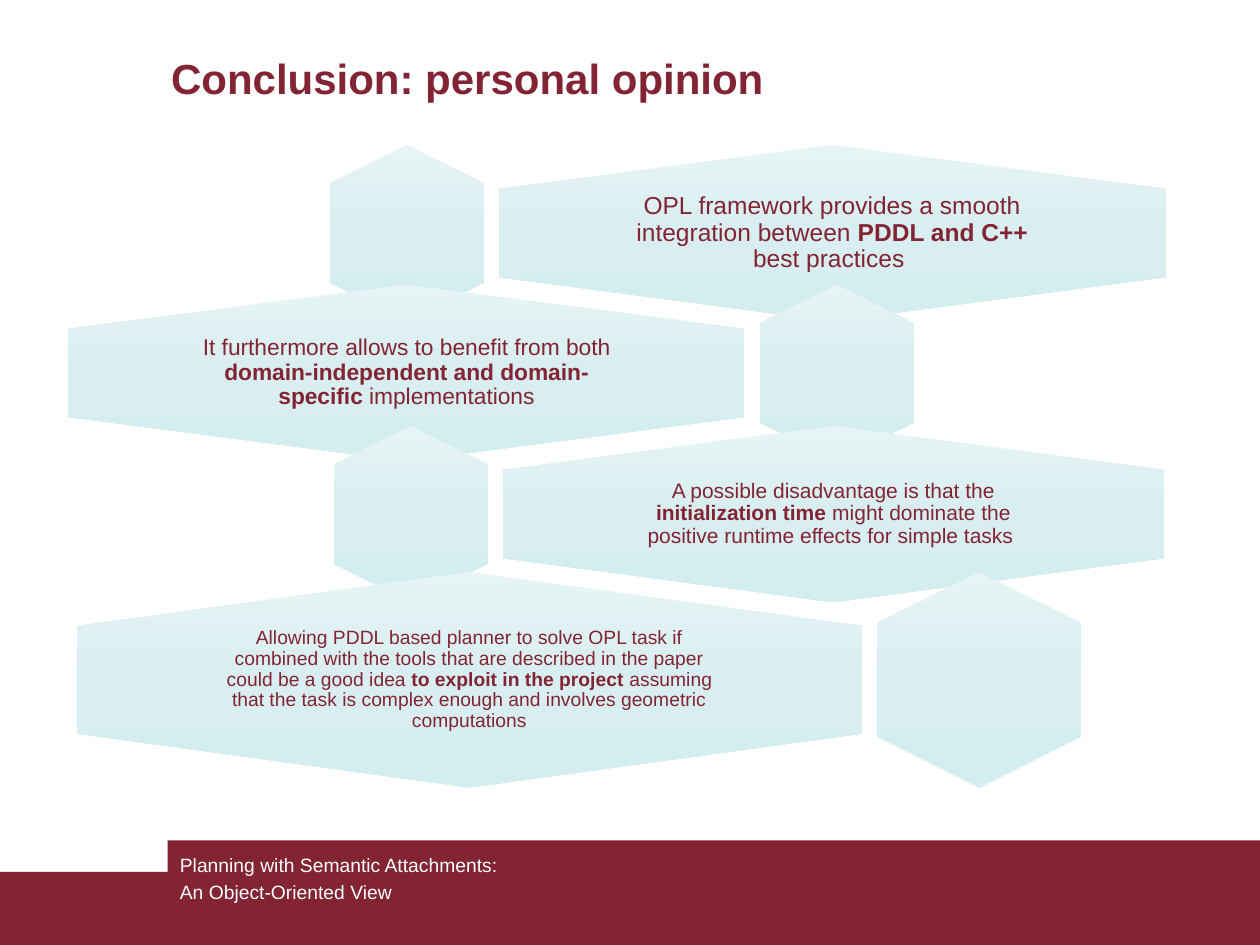
from pptx import Presentation
from pptx import util as u
from pptx.dml.color import RGBColor
from pptx.enum import shapes, text
from pptx.oxml import parse_xml
from pptx.oxml.ns import nsdecls

COLORS = {
    "wine": "822433",
    "white": "FFFFFF",
    "mist": "E6F4F5",
    "ice": "D9EEF0",
    "aqua": "D4EDEF",
}
FONT = "Arial"
HEXAGON_GAP = 0.12
TEXT_SHARE = 2 / 3

OPINIONS = [
    {
        "box": (3.96, 1.15, 5.29, 1.4), "side": "left", "accent_width": 1.22,
        "size": 14, "inset": 0.06,
        "runs": ["OPL framework provides a smooth integration between ",
                 "PDDL and C++ ", "best practices "],
    },
    {
        "box": (0.54, 2.26, 5.37, 1.4), "side": "right", "accent_width": 1.22,
        "size": 13, "inset": 0.05,
        "runs": ["It furthermore allows to benefit from both ",
                 "domain-independent and domain-specific", " implementations"],
    },
    {
        "box": (3.99, 3.38, 5.25, 1.4), "side": "left", "accent_width": 1.22,
        "size": 12, "inset": 0.05,
        "runs": ["A possible disadvantage is that the ", "initialization time ",
                 "might dominate the positive runtime effects for simple tasks "],
    },
    {
        "box": (0.61, 4.54, 6.23, 1.71), "side": "right", "accent_width": 1.62,
        "size": 11, "inset": 0.05,
        "runs": ["Allowing PDDL based planner to solve OPL task if combined with "
                 "the tools that are described in the paper could be a good idea ",
                 "to exploit in the project ",
                 "assuming that the task is complex enough and involves "
                 "geometric computations"],
    },
]


def style(run, size, color, bold=False):
    run.font.name = FONT
    run.font.size = u.Pt(size)
    run.font.bold = bold
    run.font.color.rgb = RGBColor.from_string(COLORS[color])


def add_text_frame(slide, box):
    frame = slide.shapes.add_textbox(*map(u.Inches, box)).text_frame
    frame.word_wrap = True
    return frame


def add_band(slide, box):
    band = slide.shapes.add_shape(shapes.MSO_SHAPE.RECTANGLE, *map(u.Inches, box))
    band.shadow.inherit = False
    band.fill.solid()
    band.fill.fore_color.rgb = RGBColor.from_string(COLORS["wine"])
    band.line.fill.background()


def fill_vertical_gradient(hexagon):
    stops = "".join(
        f'<a:gs pos="{position}"><a:srgbClr val="{COLORS[name]}"/></a:gs>'
        for position, name in ((0, "mist"), (50000, "ice"), (100000, "aqua"))
    )
    gradient = parse_xml(
        f'<a:gradFill {nsdecls("a")} rotWithShape="0"><a:gsLst>{stops}</a:gsLst>'
        '<a:lin ang="5400000" scaled="0"/></a:gradFill>'
    )
    hexagon.fill.gradient()
    properties = hexagon._element.spPr
    properties.replace(properties.find("{*}gradFill"), gradient)


def add_upright_hexagon(slide, box):
    left, top, width, height = box
    shift = (width - height) / 2
    hexagon = slide.shapes.add_shape(
        shapes.MSO_SHAPE.HEXAGON,
        *map(u.Inches, (left + shift, top - shift, height, width)),
    )
    hexagon.rotation = 90
    hexagon.adjustments[0] = 0.25
    hexagon.adjustments[1] = 1.1547
    hexagon.shadow.inherit = False
    hexagon.line.fill.background()
    fill_vertical_gradient(hexagon)


def add_opinion(slide, box, side, accent_width, size, inset, runs):
    left, top, width, height = box
    add_upright_hexagon(slide, box)

    margin = (1 - TEXT_SHARE) / 2
    frame = add_text_frame(slide, (left + width * margin, top + height * margin,
                                   width * TEXT_SHARE, height * TEXT_SHARE))
    frame.vertical_anchor = text.MSO_ANCHOR.MIDDLE
    frame.margin_left = frame.margin_right = u.Inches(inset)
    frame.margin_top = frame.margin_bottom = u.Inches(inset)
    statement = frame.paragraphs[0]
    statement.alignment = text.PP_ALIGN.CENTER
    statement.line_spacing = 0.9
    statement.space_after = u.Pt(size * 0.35)
    for index, wording in enumerate(runs):
        run = statement.add_run()
        run.text = wording
        style(run, size, "wine", bold=index == 1)

    if side == "left":
        accent_left = left - HEXAGON_GAP - accent_width
    else:
        accent_left = left + width + HEXAGON_GAP
    add_upright_hexagon(slide, (accent_left, top, accent_width, height))


def add_title(slide, box):
    frame = add_text_frame(slide, box)
    frame.vertical_anchor = text.MSO_ANCHOR.MIDDLE
    frame.text = "Conclusion: personal opinion"
    style(frame.paragraphs[0].runs[0], 24, "wine", bold=True)


def add_footer(slide, box):
    left, top, width, height = box
    step_left, step_height = 1.33, 0.25
    add_band(slide, (left, top + step_height, width, height - step_height))
    add_band(slide, (left + step_left, top, width - step_left, height))
    frame = add_text_frame(slide, (left + step_left, top + 0.05, 3.17, 0.5))
    frame.text = "Planning with Semantic Attachments:\nAn Object-Oriented View"
    for line in frame.paragraphs:
        line.space_before = u.Pt(2.5)
        style(line.runs[0], 11, "white")


def main():
    deck = Presentation()
    deck.slide_width, deck.slide_height = u.Inches(10), u.Inches(7.5)
    slide = deck.slides.add_slide(deck.slide_layouts[6])
    add_footer(slide, (0, 6.67, 10, 0.83))
    add_title(slide, (1.26, 0.34, 8.27, 0.55))
    for opinion in OPINIONS:
        add_opinion(slide, **opinion)
    deck.save("out.pptx")


if __name__ == "__main__":
    main()
